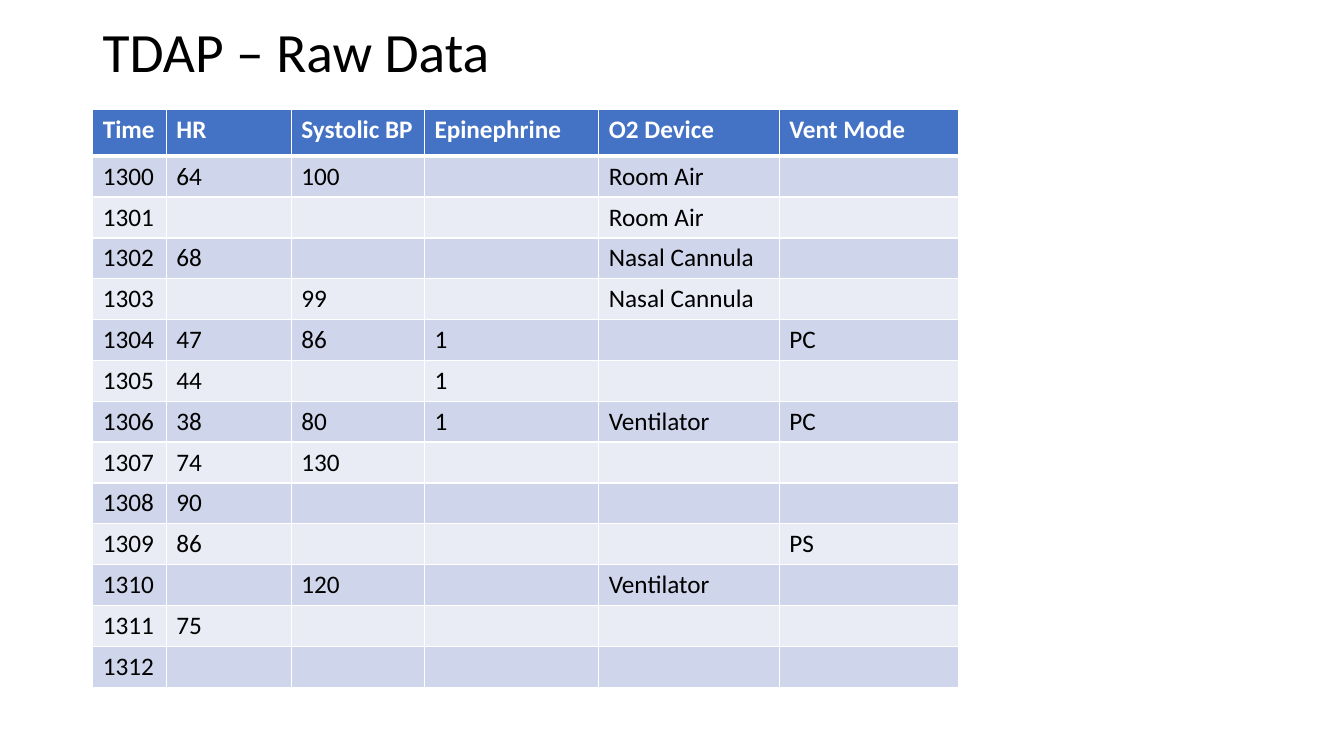
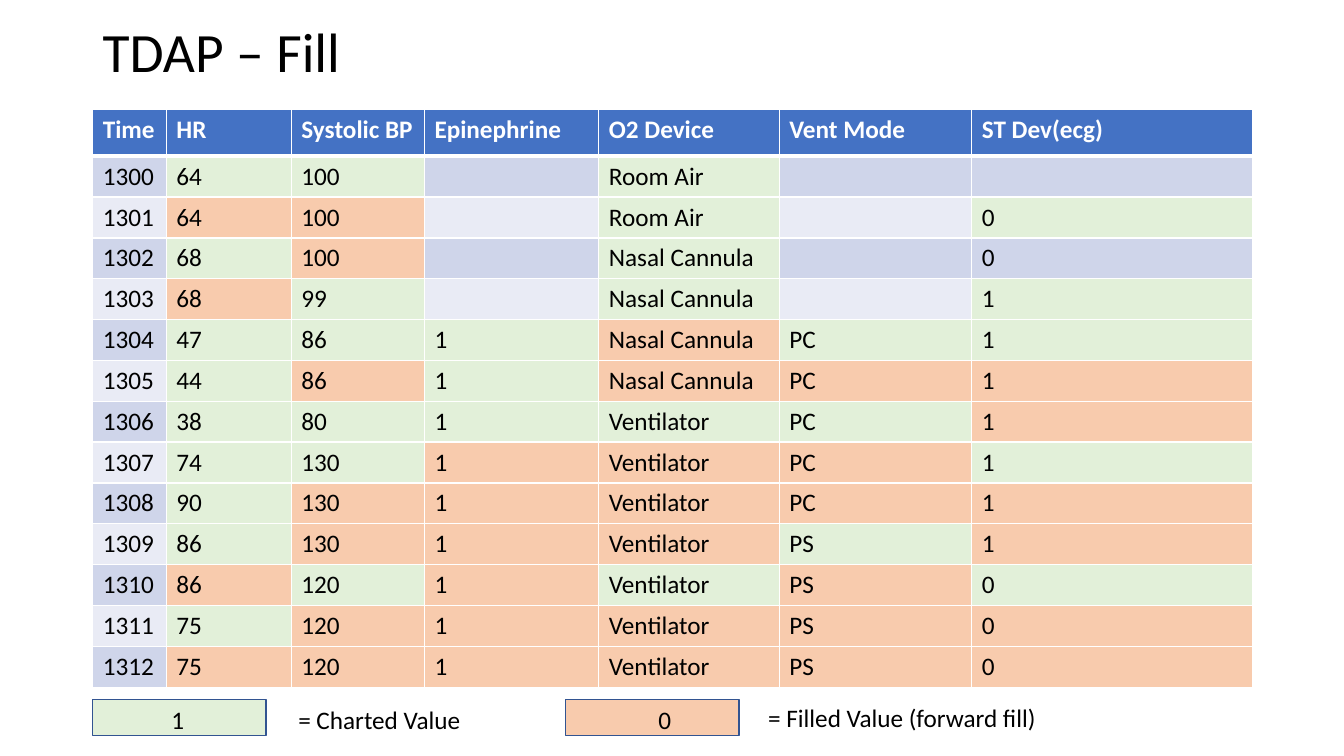
import pptx
import pptx.util
import pptx.dml.color
import pptx.enum.shapes
import pptx.enum.text
import pptx.oxml
import pptx.oxml.ns

Inches = pptx.util.Inches
RGBColor = pptx.dml.color.RGBColor
ANCHOR = pptx.enum.text.MSO_ANCHOR

BLACK = RGBColor(0x00, 0x00, 0x00)
WHITE = RGBColor(0xFF, 0xFF, 0xFF)
HEADER_BLUE = RGBColor(0x44, 0x72, 0xC4)
BANDS = (RGBColor(0xCF, 0xD5, 0xEA), RGBColor(0xE9, 0xEB, 0xF5))
CHARTED_GREEN = RGBColor(0xE2, 0xF0, 0xD9)
FILLED_ORANGE = RGBColor(0xF8, 0xCB, 0xAD)
OUTLINE_BLUE = RGBColor(0x32, 0x54, 0x91)

HEADERS = ["Time", "HR", "Systolic BP", "Epinephrine", "O2 Device", "Vent Mode"]
CHARTED_ROWS = [
    ("1300", "64", "100", "", "Room Air", ""),
    ("1301", "", "", "", "Room Air", ""),
    ("1302", "68", "", "", "Nasal Cannula", ""),
    ("1303", "", "99", "", "Nasal Cannula", ""),
    ("1304", "47", "86", "1", "", "PC"),
    ("1305", "44", "", "1", "", ""),
    ("1306", "38", "80", "1", "Ventilator", "PC"),
    ("1307", "74", "130", "", "", ""),
    ("1308", "90", "", "", "", ""),
    ("1309", "86", "", "", "", "PS"),
    ("1310", "", "120", "", "Ventilator", ""),
    ("1311", "75", "", "", "", ""),
    ("1312", "", "", "", "", ""),
]
DEVIATION_HEADER = "ST Dev(ecg)"
DEVIATIONS = ["", "0", "", "1", "1", "", "", "1", "", "", "0", "", ""]
UNMARKED = {("1302", DEVIATION_HEADER)}

SHARED_WIDTHS = [0.73, 1.24, 1.32, 1.73, 1.79]
RAW_WIDTHS = SHARED_WIDTHS + [1.78]
FILL_WIDTHS = SHARED_WIDTHS + [1.91, 2.78]
LEFT, TABLE_TOP = 0.92, 1.09
TABLE_HEIGHT, HEADER_HEIGHT = 5.73, 0.46

LEGEND_TOP = 6.94
LEGEND = [
    {"left": LEFT, "value": "1", "value_left": 0.78, "fill": CHARTED_GREEN,
     "label": "= Charted Value", "label_at": (2.86, 6.94, 2.28, 0.4)},
    {"left": 5.61, "value": "0", "value_left": 0.92, "fill": FILLED_ORANGE,
     "label": "= Filled Value (forward fill)", "label_at": (7.52, 6.92, 3.19, 0.4)},
]


def set_text(frame, text, size=18, color=BLACK, bold=False):
    paragraph = frame.paragraphs[0]
    paragraph.alignment = pptx.enum.text.PP_ALIGN.LEFT
    run = paragraph.add_run()
    run.text = text
    formats = {"name": "Calibri", "size": pptx.util.Pt(size), "bold": bold}
    for attribute, value in formats.items():
        setattr(run.font, attribute, value)
    run.font.color.rgb = color
    return paragraph


def add_text(slide, at, text, **formats):
    frame = slide.shapes.add_textbox(*map(Inches, at)).text_frame
    frame.word_wrap = True
    return set_text(frame, text, **formats)


def add_titled_slide(presentation, title):
    slide = presentation.slides.add_slide(presentation.slide_layouts[6])
    paragraph = add_text(slide, (LEFT, 0.16, 11.5, 0.76), title, size=39.6)
    paragraph.line_spacing = 0.9
    slide.shapes[0].text_frame.vertical_anchor = ANCHOR.MIDDLE
    return slide


def fill_cell(cell, text, fill, **formats):
    cell.fill.solid()
    cell.fill.fore_color.rgb = fill
    if text:
        set_text(cell.text_frame, text, **formats)


def add_bottom_border(cell, color, width):
    border = pptx.oxml.parse_xml(
        f'<a:lnB {pptx.oxml.ns.nsdecls("a")} w="{pptx.util.Pt(width)}">'
        f'<a:solidFill><a:srgbClr val="{color}"/></a:solidFill></a:lnB>')
    cell._tc.get_or_add_tcPr().insert(0, border)


def add_data_table(slide, headers, rows, widths):
    table = slide.shapes.add_table(
        len(rows) + 1, len(headers), Inches(LEFT), Inches(TABLE_TOP),
        Inches(sum(widths)), Inches(TABLE_HEIGHT)).table
    for column, width in zip(table.columns, widths):
        column.width = Inches(width)
    row_height = (TABLE_HEIGHT - HEADER_HEIGHT) / len(rows)
    for index, row in enumerate(table.rows):
        row.height = Inches(row_height if index else HEADER_HEIGHT)
    for column_index, header in enumerate(headers):
        cell = table.cell(0, column_index)
        fill_cell(cell, header, HEADER_BLUE, color=WHITE, bold=True)
        add_bottom_border(cell, WHITE, 3)
    for row_index, row in enumerate(rows):
        band = BANDS[row_index % 2]
        for column_index, (text, fill) in enumerate(row):
            fill_cell(table.cell(row_index + 1, column_index), text, fill or band)


def forward_fill(headers, rows):
    latest = [""] * len(headers)
    filled_rows = []
    for row in rows:
        latest = [value or previous for value, previous in zip(row, latest)]
        filled_row = []
        for header, charted, value in zip(headers, row, latest):
            color = CHARTED_GREEN if charted else FILLED_ORANGE
            if not value or header == "Time" or (row[0], header) in UNMARKED:
                color = None
            filled_row.append((value, color))
        filled_rows.append(filled_row)
    return filled_rows


def add_legend(slide):
    for entry in LEGEND:
        swatch = slide.shapes.add_shape(
            pptx.enum.shapes.MSO_SHAPE.RECTANGLE, Inches(entry["left"]),
            Inches(LEGEND_TOP), Inches(1.72), Inches(0.36))
        swatch.shadow.inherit = False
        swatch.fill.solid()
        swatch.fill.fore_color.rgb = entry["fill"]
        swatch.line.color.rgb = OUTLINE_BLUE
        swatch.line.width = pptx.util.Pt(1)
        frame_formats = {
            "margin_left": Inches(entry["value_left"]),
            "margin_top": Inches(0.05),
            "margin_bottom": 0,
            "vertical_anchor": ANCHOR.TOP,
        }
        for attribute, value in frame_formats.items():
            setattr(swatch.text_frame, attribute, value)
        set_text(swatch.text_frame, entry["value"])
        add_text(slide, entry["label_at"], entry["label"])


def main():
    presentation = pptx.Presentation()
    presentation.slide_width = Inches(13.33)
    presentation.slide_height = Inches(7.5)

    raw_slide = add_titled_slide(presentation, "TDAP – Raw Data")
    raw_rows = [[(text, None) for text in row] for row in CHARTED_ROWS]
    add_data_table(raw_slide, HEADERS, raw_rows, RAW_WIDTHS)

    fill_slide = add_titled_slide(presentation, "TDAP – Fill")
    fill_headers = HEADERS + [DEVIATION_HEADER]
    charted_rows = [row + (value,) for row, value in zip(CHARTED_ROWS, DEVIATIONS)]
    filled_rows = forward_fill(fill_headers, charted_rows)
    add_data_table(fill_slide, fill_headers, filled_rows, FILL_WIDTHS)
    add_legend(fill_slide)

    presentation.save("out.pptx")


if __name__ == "__main__":
    main()
